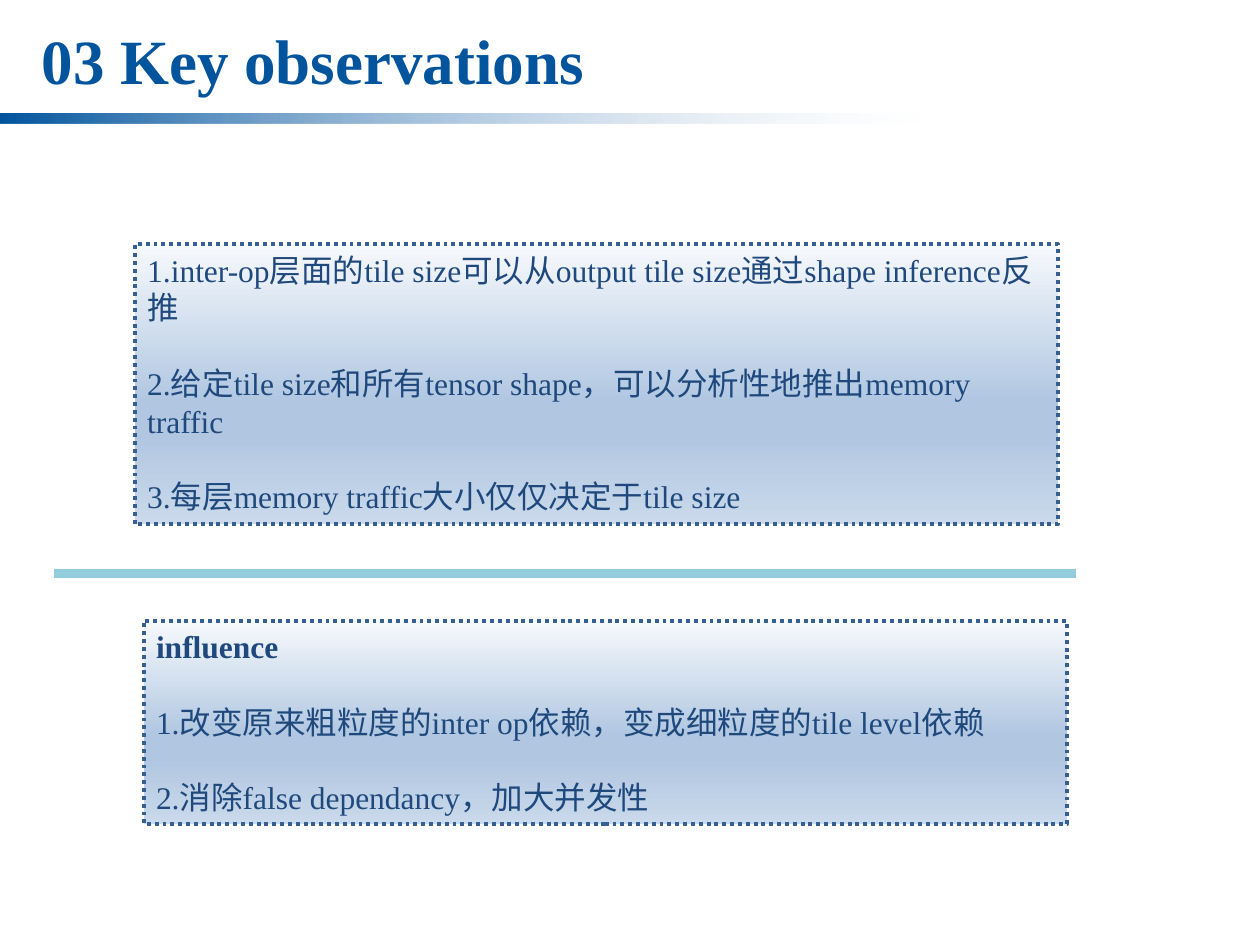
import pptx
import pptx.util
import pptx.dml.color
import pptx.enum.dml
import pptx.enum.shapes
import pptx.enum.text
import pptx.oxml
import pptx.oxml.ns
from pptx.util import Inches

COLORS = {
    "title": "02549D",
    "text": "1F497D",
    "border": "376092",
    "divider": "93CDDD",
    "box_top": "F6F9FC",
    "box_mid": "B0C6E1",
    "box_end": "CAD9EB",
}
FONT = "Times New Roman"

# Gradient stops: position %, colour name, opacity %
BAR_STOPS = [(0, "title", 100), (92, "box_end", 0)]
BOX_STOPS = [(0, "box_top", 100), (57, "box_mid", 100),
             (67, "box_mid", 100), (100, "box_end", 100)]


def rgb(name):
    return pptx.dml.color.RGBColor.from_string(COLORS[name])


class Deck:
    """Holds the style and the current slide."""

    def __init__(self, prs):
        self.s = prs.slides.add_slide(prs.slide_layouts[5])

    def style(self, r, size, color, bold=False):
        values = {"name": FONT, "size": pptx.util.Pt(size), "bold": bold}
        for key, value in values.items():
            setattr(r.font, key, value)
        r.font.color.rgb = rgb(color)

    def title(self, text, left, top, width, height):
        sp = self.s.shapes.title
        box = {"left": left, "top": top, "width": width, "height": height}
        for key, value in box.items():
            setattr(sp, key, Inches(value))
        tf = sp.text_frame
        tf.vertical_anchor = pptx.enum.text.MSO_ANCHOR.MIDDLE
        p = tf.paragraphs[0]
        p.alignment = pptx.enum.text.PP_ALIGN.LEFT
        p.line_spacing = 0.9
        r = p.add_run()
        r.text = text
        self.style(r, 36, "title", True)

    def gradient_rect(self, left, top, width, height, stops, angle):
        sp = self.s.shapes.add_shape(
            pptx.enum.shapes.MSO_SHAPE.RECTANGLE,
            Inches(left), Inches(top), Inches(width), Inches(height))
        sp.shadow.inherit = False
        sp.fill.gradient()
        sp.fill.gradient_angle = angle
        gs_list = sp.fill._fill._gradFill.find(pptx.oxml.ns.qn("a:gsLst"))
        for gs in list(gs_list):
            gs_list.remove(gs)
        for pos, name, alpha in stops:
            gs_list.append(pptx.oxml.parse_xml(
                f'<a:gs {pptx.oxml.ns.nsdecls("a")} pos="{pos * 1000}">'
                f'<a:srgbClr val="{COLORS[name]}">'
                f'<a:alpha val="{alpha * 1000}"/></a:srgbClr></a:gs>'))
        sp.line.fill.background()
        return sp

    def text_box(self, left, top, width, height, lines, heading=False):
        sp = self.gradient_rect(left, top, width, height, BOX_STOPS, 270)
        sp.line.color.rgb = rgb("border")
        sp.line.width = pptx.util.Pt(2.25)
        sp.line.dash_style = pptx.enum.dml.MSO_LINE.ROUND_DOT
        tf = sp.text_frame
        tf.word_wrap = True
        tf.auto_size = pptx.enum.text.MSO_AUTO_SIZE.SHAPE_TO_FIT_TEXT
        tf.vertical_anchor = pptx.enum.text.MSO_ANCHOR.TOP
        for i, line in enumerate(lines):
            p = tf.add_paragraph() if i else tf.paragraphs[0]
            p.alignment = pptx.enum.text.PP_ALIGN.LEFT
            p.space_before = pptx.util.Pt(21.5 if i else 0)
            r = p.add_run()
            r.text = line
            self.style(r, 18, "text", heading and i == 0)

    def divider(self, x1, x2, y):
        c = self.s.shapes.add_connector(
            pptx.enum.shapes.MSO_CONNECTOR.STRAIGHT,
            Inches(x1), Inches(y), Inches(x2), Inches(y))
        c.line.color.rgb = rgb("divider")
        c.line.width = pptx.util.Pt(5)
        c._element.spPr.append(pptx.oxml.parse_xml(
            f'<a:effectLst {pptx.oxml.ns.nsdecls("a")}/>'))


def main():
    prs = pptx.Presentation()
    prs.slide_width, prs.slide_height = Inches(10), Inches(7.5)
    deck = Deck(prs)

    # Header
    deck.title("03 Key observations", 0.23, 0.1, 8.96, 0.82)
    deck.gradient_rect(0, 0.9, 7.94, 0.08, BAR_STOPS, 0)

    # Observations
    deck.text_box(1.07, 1.94, 7.33, 2.22, [
        "1.inter-op层面的tile size可以从output tile size通过shape inference反推",
        "2.给定tile size和所有tensor shape，可以分析性地推出memory traffic",
        "3.每层memory traffic大小仅仅决定于tile size",
    ])

    # Influence
    deck.text_box(1.14, 4.93, 7.33, 1.61, [
        "influence",
        "1.改变原来粗粒度的inter op依赖，变成细粒度的tile level依赖",
        "2.消除false dependancy，加大并发性",
    ], heading=True)
    deck.divider(0.43, 8.54, 4.55)

    prs.save("out.pptx")


if __name__ == "__main__":
    main()
